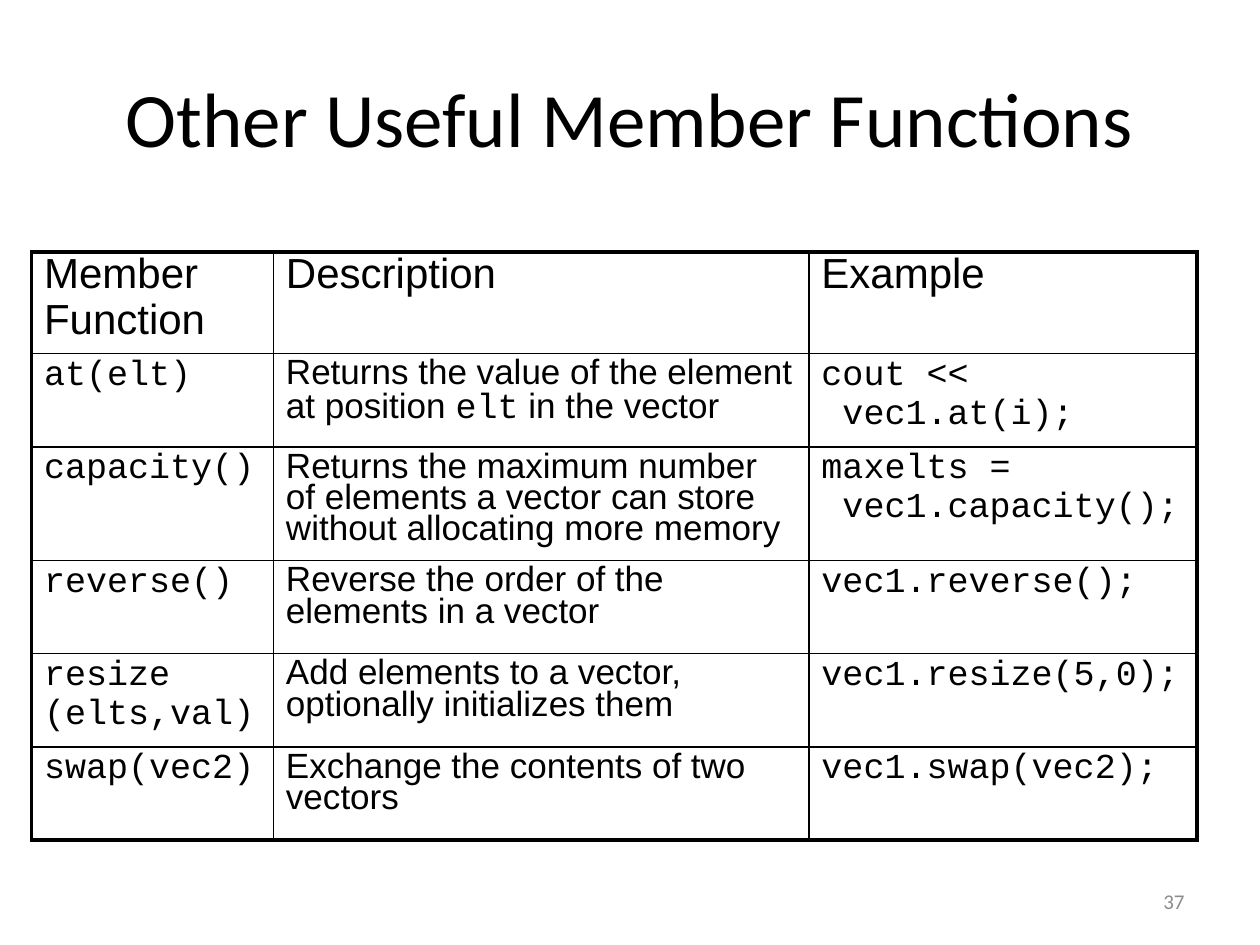
from pptx import Presentation
from pptx.dml.color import RGBColor
from pptx.enum.text import MSO_ANCHOR as Anchor, PP_ALIGN as Align
from pptx.oxml.ns import qn
from pptx.util import Inches, Pt
from lxml.etree import SubElement

TITLE = "Other Useful Member Functions"
PAGE_NUMBER = "37"
HEADINGS = ("Member\nFunction", "Description", "Example")
FUNCTIONS = [
    ("at(elt)", "Returns the value of the element at position `elt` in the vector",
     "cout <<\n vec1.at(i);"),
    ("capacity()", "Returns the maximum number of elements a vector can store "
     "without allocating more memory", "maxelts =\n vec1.capacity();"),
    ("reverse()", "Reverse the order of the elements in a vector", "vec1.reverse();"),
    ("resize\n(elts,val)", "Add elements to a vector, optionally initializes them",
     "vec1.resize(5,0);"),
    ("swap(vec2)", "Exchange the contents of two vectors", "vec1.swap(vec2);"),
]
COLUMN_WIDTHS = (1.92, 4.25, 3.08)
ROW_HEIGHT = 0.74

THEME = {
    "title": {"name": "Calibri", "size": Pt(44), "color": "000000"},
    "number": {"name": "Calibri", "size": Pt(12), "color": "8C8C8C"},
    "heading": {"name": "Arial", "size": Pt(24), "color": "000000"},
    "prose": {"name": "Arial", "size": Pt(20), "color": "000000"},
    "code": {"name": "Courier New", "size": Pt(20), "color": "000000"},
    "border": "000000",
    "outer": 2.25,
    "inner": 1,
}


def add_run(paragraph, text, style):
    run = paragraph.add_run()
    run.text = text
    for key, value in THEME[style].items():
        if key == "color":
            run.font.color.rgb = RGBColor.from_string(value)
        else:
            setattr(run.font, key, value)


def add_label(slide, text, box, style, align):
    frame = slide.shapes.add_textbox(*map(Inches, box)).text_frame
    for key, value in {"word_wrap": True, "vertical_anchor": Anchor.MIDDLE}.items():
        setattr(frame, key, value)
    frame.paragraphs[0].alignment = align
    add_run(frame.paragraphs[0], text, style)


def fill_cell(cell, text, style):
    for index, line in enumerate(text.split("\n")):
        frame = cell.text_frame
        paragraph = frame.add_paragraph() if index else frame.paragraphs[0]
        paragraph.line_spacing = 0.8
        before = SubElement(paragraph._p.get_or_add_pPr(), qn("a:spcBef"))
        SubElement(before, qn("a:spcPct"), val="20000")
        for part, words in enumerate(line.split("`")):
            add_run(paragraph, words, "code" if part % 2 else style)


def draw_borders(cell, outer_sides):
    properties = cell._tc.get_or_add_tcPr()
    for side, is_outer in outer_sides.items():
        width = Pt(THEME["outer" if is_outer else "inner"])
        line = SubElement(properties, qn(f"a:ln{side}"), w=str(width))
        fill = SubElement(line, qn("a:solidFill"))
        SubElement(fill, qn("a:srgbClr"), val=THEME["border"])
    cell.fill.background()


def add_function_table(slide):
    rows = [HEADINGS, *FUNCTIONS]
    last_row, last_column = len(rows) - 1, len(HEADINGS) - 1
    table = slide.shapes.add_table(
        len(rows), len(HEADINGS), Inches(0.25), Inches(2),
        Inches(sum(COLUMN_WIDTHS)), Inches(ROW_HEIGHT * len(rows))).table
    for key, value in {"first_row": False, "horz_banding": False}.items():
        setattr(table, key, value)
    for column, width in zip(table.columns, COLUMN_WIDTHS):
        column.width = Inches(width)
    for r, texts in enumerate(rows):
        table.rows[r].height = Inches(ROW_HEIGHT)
        styles = ("code", "prose", "code") if r else ("heading",) * 3
        for c, (text, style) in enumerate(zip(texts, styles)):
            cell = table.cell(r, c)
            fill_cell(cell, text, style)
            draw_borders(cell, {"L": c == 0, "R": c == last_column,
                                "T": r == 0, "B": r == last_row})


def main():
    deck = Presentation()
    deck.slide_width, deck.slide_height = Inches(10), Inches(7.5)
    slide = deck.slides.add_slide(deck.slide_layouts[6])
    add_label(slide, TITLE, (0.5, 0.3, 9, 1.25), "title", Align.CENTER)
    add_function_table(slide)
    add_label(slide, PAGE_NUMBER, (7.17, 6.95, 2.33, 0.4), "number", Align.RIGHT)
    deck.save("out.pptx")


if __name__ == "__main__":
    main()
